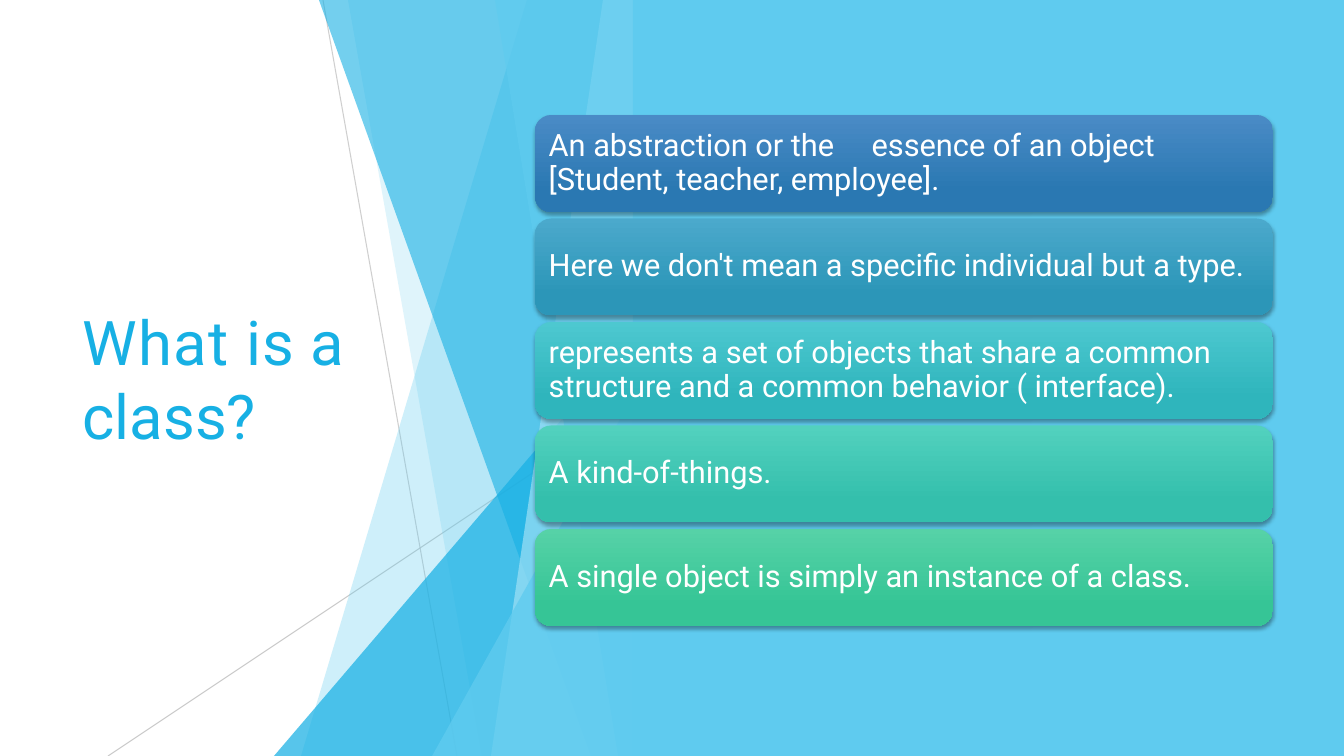
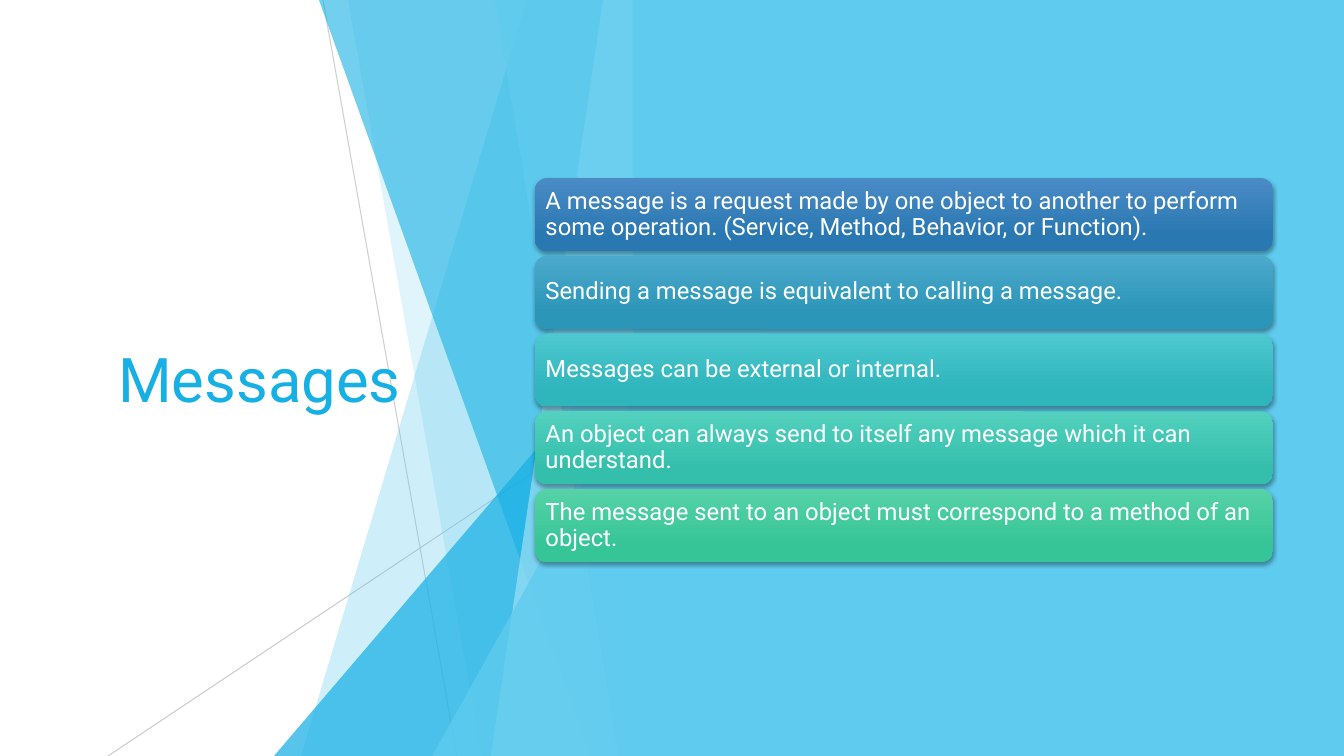
"""Build two faceted slides, each with a title and a column of gradient cards."""

from dataclasses import dataclass, field
from typing import Any

import lxml.etree
import pptx
import pptx.dml.color
import pptx.enum.shapes
import pptx.enum.text
import pptx.oxml.ns
import pptx.presentation
import pptx.shapes.autoshape
import pptx.shapes.base
import pptx.slide
import pptx.util

EMU_PER_PX = 914400 / 100.8
SLIDE_WIDTH, SLIDE_HEIGHT = 1344, 756
PANEL_LEFT = 633
CARD_LEFT, CARD_WIDTH = 535, 738
TITLE_TOP, TITLE_WIDTH, TITLE_HEIGHT = 152, 391, 452

SHAPES = pptx.enum.shapes.MSO_SHAPE
MIDDLE = pptx.enum.text.MSO_ANCHOR.MIDDLE
LEFT = pptx.enum.text.PP_ALIGN.LEFT


@dataclass(frozen=True)
class Theme:
    font: str = "Roboto"
    title_size: int = 44
    sky: str = "5FCBEF"
    accent: str = "17B0E4"
    pale: str = "9FE0F5"
    rule: str = "BFBFBF"
    white: str = "FFFFFF"
    shadow: str = "000000"
    rule_width: float = 0.75
    card_gradients: tuple[tuple[str, str], ...] = (
        ("4A8BC6", "2A78B2"),
        ("4BA9CC", "2C96B8"),
        ("4DC8D0", "2FB5BC"),
        ("52D1BE", "34BFAC"),
        ("56D2A7", "36C596"),
    )


THEME = Theme()


@dataclass(frozen=True)
class Rule:
    start: tuple[int, int]
    end: tuple[int, int]
    opacity: int


@dataclass(frozen=True)
class Band:
    """A facet running from its slanted edge to the panel."""

    top_x: int
    bottom_x: int
    color: str
    opacity: int


@dataclass(frozen=True)
class Wedge:
    """A right triangle standing against the panel."""

    left: int
    top: int
    color: str
    opacity: int


@dataclass(frozen=True)
class TitleRun:
    text: str
    spacing: int = 0


@dataclass(frozen=True)
class CardList:
    top: int
    bottom: int
    card_height: int
    margin: int
    text_size: int
    texts: tuple[str, ...]
    tab_stops: dict[int, int] = field(default_factory=dict)


@dataclass(frozen=True)
class Page:
    title_left: int
    title: tuple[TitleRun, ...]
    cards: CardList


RULES = (Rule((323, 0), (457, 756), 75), Rule((633, 406), (108, 756), 80))
FACETS = (
    Band(527, 301, THEME.sky, 30),
    Band(348, 482, THEME.sky, 20),
    Wedge(274, 336, THEME.accent, 72),
    Band(319, 591, THEME.accent, 60),
    Band(603, 491, THEME.pale, 70),
    Band(495, 618, THEME.sky, 65),
    Wedge(432, 396, THEME.sky, 80),
)

PAGES = (
    Page(
        72,
        (TitleRun("What ", 100), TitleRun("is ", 40), TitleRun("a ", 110), TitleRun("class?", 10)),
        CardList(
            115, 626, 97, 9, 22,
            (
                "An abstraction or the\tessence of an object [Student, teacher, employee].",
                "Here we don't mean a specific individual but a type.",
                "represents a set of objects that share a common structure and a common behavior ( interface).",
                "A kind-of-things.",
                "A single object is simply an instance of a class.",
            ),
            {0: 323},
        ),
    ),
    Page(
        108,
        (TitleRun("Messages"),),
        CardList(
            178, 562, 73, 7, 17,
            (
                "A message is a request made by one object to another to perform some operation. "
                "(Service, Method, Behavior, or Function).",
                "Sending a message is equivalent to calling a message.",
                "Messages can be external or internal.",
                "An object can always send to itself any message which it can understand.",
                "The message sent to an object must correspond to a method of an object.",
            ),
        ),
    ),
)


def px(value: float) -> pptx.util.Emu:
    return pptx.util.Emu(round(value * EMU_PER_PX))


def rgb(color: str) -> pptx.dml.color.RGBColor:
    return pptx.dml.color.RGBColor.from_string(color)


def apply_format(target: Any, values: dict[str, Any]) -> None:
    for name, value in values.items():
        setattr(target, name, value)


def add_element(parent: Any, tag: str, **attributes: Any) -> Any:
    texts = {name: str(value) for name, value in attributes.items()}
    return lxml.etree.SubElement(parent, pptx.oxml.ns.qn(tag), texts)


def find_elements(shape: pptx.shapes.base.BaseShape, tag: str) -> list[Any]:
    return list(shape.element.iter(pptx.oxml.ns.qn(tag)))


def set_opacity(shape: pptx.shapes.base.BaseShape, percent: int) -> None:
    for color in find_elements(shape, "a:srgbClr"):
        add_element(color, "a:alpha", val=percent * 1000)


def fill_plain(shape: pptx.shapes.autoshape.Shape, color: str) -> None:
    shape.shadow.inherit = False
    shape.line.fill.background()
    shape.fill.solid()
    shape.fill.fore_color.rgb = rgb(color)


def format_font(font: Any, size: int, color: str) -> None:
    apply_format(font, {"name": THEME.font, "size": pptx.util.Pt(size), "bold": False})
    font.color.rgb = rgb(color)


def add_rule(slide: pptx.slide.Slide, rule: Rule) -> None:
    connector = slide.shapes.add_connector(
        pptx.enum.shapes.MSO_CONNECTOR.STRAIGHT, *map(px, rule.start + rule.end)
    )
    connector.line.color.rgb = rgb(THEME.rule)
    connector.line.width = pptx.util.Pt(THEME.rule_width)
    add_element(connector.element.spPr, "a:effectLst")
    set_opacity(connector, rule.opacity)


def add_facet(slide: pptx.slide.Slide, facet: Band | Wedge) -> None:
    if isinstance(facet, Band):
        builder = slide.shapes.build_freeform(facet.top_x, 0, EMU_PER_PX)
        corners = ((PANEL_LEFT, 0), (PANEL_LEFT, SLIDE_HEIGHT), (facet.bottom_x, SLIDE_HEIGHT))
        builder.add_line_segments(corners, close=True)
        shape = builder.convert_to_shape()
    else:
        width, height = PANEL_LEFT - facet.left, SLIDE_HEIGHT - facet.top
        shape = slide.shapes.add_shape(
            SHAPES.ISOSCELES_TRIANGLE, *map(px, (facet.left, facet.top, width, height))
        )
        shape.adjustments[0] = 1
    fill_plain(shape, facet.color)
    set_opacity(shape, facet.opacity)


def add_backdrop(slide: pptx.slide.Slide) -> None:
    for rule in RULES:
        add_rule(slide, rule)
    for facet in FACETS:
        add_facet(slide, facet)
    panel = slide.shapes.add_shape(
        SHAPES.RECTANGLE, *map(px, (PANEL_LEFT, 0, SLIDE_WIDTH - PANEL_LEFT, SLIDE_HEIGHT))
    )
    fill_plain(panel, THEME.sky)


def place_title(slide: pptx.slide.Slide, page: Page) -> None:
    title = slide.shapes.title
    bounds = (page.title_left, TITLE_TOP, TITLE_WIDTH, TITLE_HEIGHT)
    apply_format(title, dict(zip(("left", "top", "width", "height"), map(px, bounds))))
    frame = title.text_frame
    apply_format(frame, {
        "word_wrap": True,
        "vertical_anchor": MIDDLE,
        "auto_size": pptx.enum.text.MSO_AUTO_SIZE.NONE,
    })
    paragraph = frame.paragraphs[0]
    paragraph.alignment = LEFT
    for title_run in page.title:
        run = paragraph.add_run()
        run.text = title_run.text
        format_font(run.font, THEME.title_size, THEME.accent)
    for properties, title_run in zip(find_elements(title, "a:rPr"), page.title):
        properties.set("spc", str(title_run.spacing))
    title.element.getparent().append(title.element)


def style_card(shape: pptx.shapes.autoshape.Shape, colors: tuple[str, str]) -> None:
    shape.line.fill.background()
    shape.fill.gradient()
    shape.fill.gradient_angle = 270
    for stop, color, position in zip(shape.fill.gradient_stops, colors, (0, 0.78)):
        stop.color.rgb = rgb(color)
        stop.position = position
    shape.shadow.inherit = False
    effects = find_elements(shape, "a:effectLst")[0]
    shadow = add_element(
        effects, "a:outerShdw", blurRad=pptx.util.Pt(3), dist=pptx.util.Pt(2), dir=5400000, rotWithShape=0
    )
    add_element(add_element(shadow, "a:srgbClr", val=THEME.shadow), "a:alpha", val=35000)


def add_cards(slide: pptx.slide.Slide, cards: CardList) -> None:
    pitch = (cards.bottom - cards.top - cards.card_height) / (len(cards.texts) - 1)
    for index, (text, colors) in enumerate(zip(cards.texts, THEME.card_gradients)):
        bounds = (CARD_LEFT, cards.top + index * pitch, CARD_WIDTH, cards.card_height)
        shape = slide.shapes.add_shape(SHAPES.ROUNDED_RECTANGLE, *map(px, bounds))
        style_card(shape, colors)
        frame = shape.text_frame
        margins = ("margin_left", "margin_top", "margin_right", "margin_bottom")
        apply_format(frame, dict.fromkeys(margins, px(cards.margin)))
        apply_format(frame, {"word_wrap": True, "vertical_anchor": MIDDLE})
        paragraph = frame.paragraphs[0]
        apply_format(paragraph, {"alignment": LEFT, "line_spacing": 0.9})
        if index in cards.tab_stops:
            tabs = add_element(find_elements(shape, "a:pPr")[0], "a:tabLst")
            add_element(tabs, "a:tab", pos=px(cards.tab_stops[index]), algn="l")
        run = paragraph.add_run()
        run.text = text
        format_font(run.font, cards.text_size, THEME.white)


def add_page(presentation: pptx.presentation.Presentation, page: Page) -> None:
    slide = presentation.slides.add_slide(presentation.slide_layouts.get_by_name("Title Only"))
    add_backdrop(slide)
    place_title(slide, page)
    add_cards(slide, page.cards)


def main() -> None:
    presentation = pptx.Presentation()
    presentation.slide_width, presentation.slide_height = px(SLIDE_WIDTH), px(SLIDE_HEIGHT)
    for page in PAGES:
        add_page(presentation, page)
    presentation.save("out.pptx")


if __name__ == "__main__":
    main()
